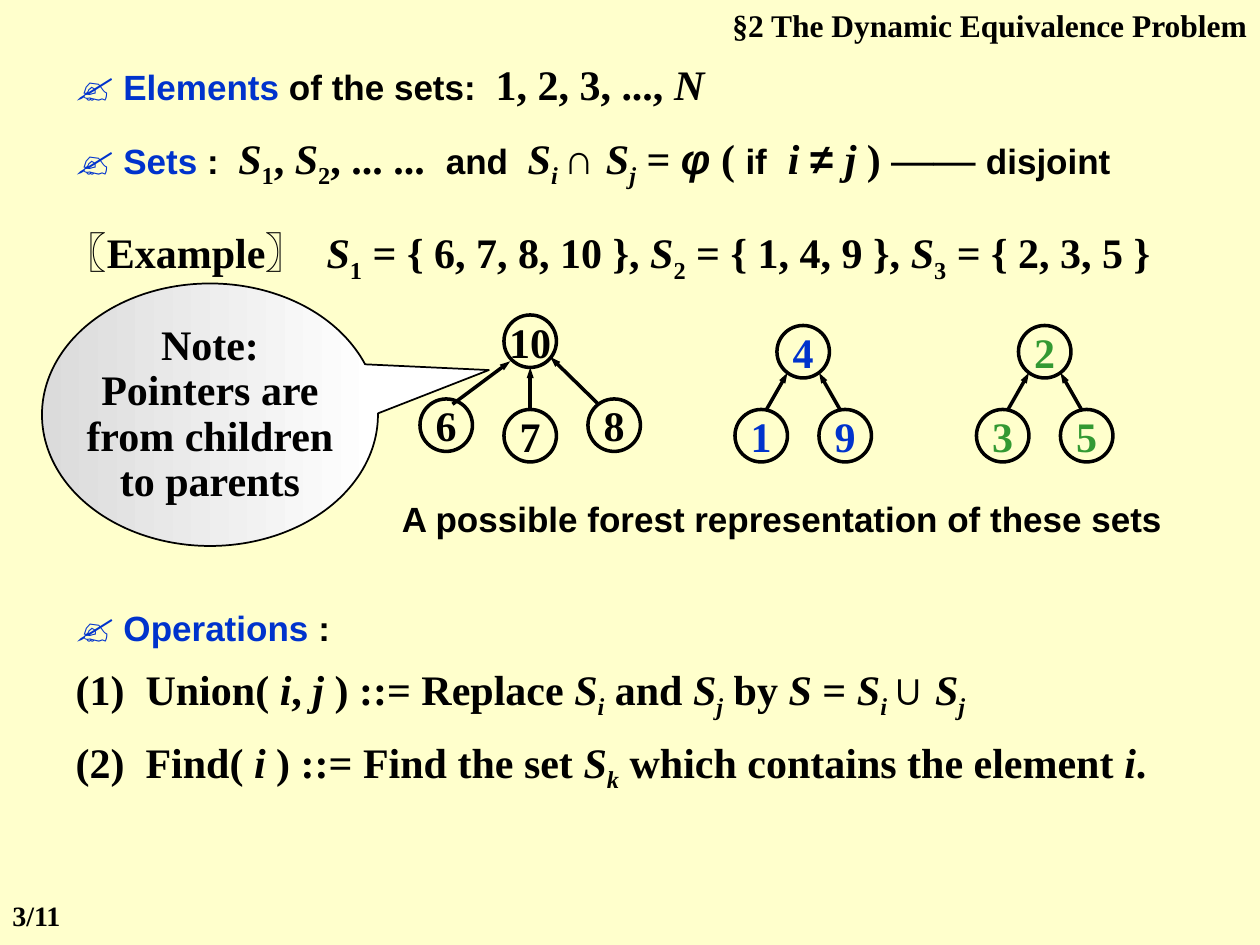
from lxml.etree import SubElement
from pptx import Presentation
from pptx.dml.color import RGBColor
from pptx.enum.shapes import MSO_CONNECTOR, MSO_SHAPE
from pptx.enum.text import MSO_ANCHOR, MSO_AUTO_SIZE, PP_ALIGN
from pptx.oxml.ns import qn
from pptx.util import Inches, Pt

COLORS = {"page": "FFFFCC", "ink": "000000", "blue": "0033CC", "green": "339933",
          "light": "FFFFFF", "shade": "DBDBDB"}
COLUMNS, ROWS = 120, 90
WIDTH, HEIGHT = Inches(10), Inches(7.5)
SERIF, SANS = "Times New Roman", "Arial"
NODE = 5

STYLES = {
    "text": (SERIF, 24, "ink", False, False),
    "math": (SERIF, 24, "ink", True, False),
    "sub": (SERIF, 24, "ink", False, True),
    "mathsub": (SERIF, 24, "ink", True, True),
    "symbol": (SANS, 24, "ink", False, False),
    "phi": (SANS, 24, "ink", True, False),
    "word": (SANS, 20, "ink", False, False),
    "label": (SANS, 20, "blue", False, False),
    "mark": (SANS, 24, "blue", False, False),
    "header": (SERIF, 18, "ink", False, False),
    "page": (SERIF, 16, "ink", False, False),
    "blue": (SERIF, 24, "blue", False, False),
    "green": (SERIF, 24, "green", False, False),
}


def color(name):
    """Return the named colour."""
    return RGBColor.from_string(COLORS[name])


def across(columns):
    """Turn grid columns into a length."""
    return round(WIDTH * columns / COLUMNS)


def down(rows):
    """Turn grid rows into a length."""
    return round(HEIGHT * rows / ROWS)


def grid(left, top, width, height):
    """Turn a box of columns and rows into lengths."""
    return across(left), down(top), across(width), down(height)


def place(box, area):
    """Move a placeholder to a grid area."""
    box.left, box.top, box.width, box.height = grid(*area)


def heading(lead):
    """Return the marked blue start of a line."""
    return [("✍", "mark"), (f" {lead}", "label")]


def indexed(index, style="mathsub"):
    """Return the spans of a set S with an index."""
    return [("S", "math"), (index, style)]


def write(box, lines, align=PP_ALIGN.LEFT, spacing=1.0, after=(), wrap=True,
          anchor=MSO_ANCHOR.TOP):
    """Fill a box with lines of styled spans."""
    frame = box.text_frame
    frame.word_wrap = wrap
    frame.auto_size = MSO_AUTO_SIZE.NONE
    frame.vertical_anchor = anchor
    for number, line in enumerate(lines):
        para = frame.add_paragraph() if number else frame.paragraphs[0]
        if box.is_placeholder:
            properties = para._p.get_or_add_pPr()
            properties.set("marL", "0")
            properties.set("indent", "0")
            SubElement(properties, qn("a:buNone"))
        para.alignment = align
        para.line_spacing = spacing
        para.space_before = Pt(0)
        para.space_after = Pt(after[number] if after else 0)
        for text, style in line:
            span = para.add_run()
            span.text = text
            face, size, ink, italic, lowered = STYLES[style]
            span.font.name, span.font.size = face, Pt(size)
            span.font.bold, span.font.italic = True, italic
            span.font.color.rgb = color(ink)
            if lowered:
                span.font._element.set("baseline", "-25000")


def text_line(page, area, spans, **options):
    """Add one line of text in a grid area."""
    write(page.shapes.add_textbox(*grid(*area)), [spans], **options)


def outlined(shapes, kind, area, points):
    """Add a shape with a black outline and no shadow."""
    shape = shapes.add_shape(kind, *grid(*area))
    shape.shadow.inherit = False
    shape.fill.background()
    shape.line.color.rgb = color("ink")
    shape.line.width = Pt(points)
    return shape


def pointer(shapes, start, end):
    """Add an arrow from a child to its parent."""
    arrow = shapes.add_connector(MSO_CONNECTOR.STRAIGHT, across(start[0]), down(start[1]),
                                 across(end[0]), down(end[1]))
    arrow.line.color.rgb = color("ink")
    arrow.line.width = Pt(2)
    SubElement(arrow.line._get_or_add_ln(), qn("a:tailEnd"), type="triangle", w="sm", len="med")
    SubElement(arrow._element.spPr, qn("a:effectLst"))


def tree(page, left, top, nodes, pointers, style):
    """Draw one set as a tree from its top left corner."""
    shapes = page.shapes.add_group_shape().shapes
    for name, column, row in nodes:
        node = outlined(shapes, MSO_SHAPE.OVAL, (left + column, top + row, NODE, NODE), 2)
        write(node, [[(name, style)]], PP_ALIGN.CENTER, wrap=False, anchor=MSO_ANCHOR.MIDDLE)
    for points in pointers:
        start, end = ((left + column, top + row) for column, row in points)
        pointer(shapes, start, end)


def forest(page):
    """Draw the three trees and their caption."""
    tree(page, 40, 30, [("10", 8, 0), ("6", 0, 8), ("8", 16, 8), ("7", 8, 9)],
         [((3.1, 8.5), (8.6, 4.4)), ((17, 8.5), (12.4, 4)), ((10.5, 9), (10.5, 5))], "text")
    for left, names, style in ((70, "419", "blue"), (93, "235", "green")):
        spots = ((4, 0), (0, 8), (8, 8))
        nodes = [(name, *spot) for name, spot in zip(names, spots)]
        tree(page, left, 31, nodes, [((3, 8), (5, 4.5)), ((10, 8), (8, 4.5))], style)
    text_line(page, (33, 47.2, 83, 4.8),
              [("A possible forest representation of these sets", "word")],
              align=PP_ALIGN.CENTER, spacing=0.9)


def note(page, area):
    """Draw the shaded callout that explains the pointers."""
    callout = outlined(page.shapes, MSO_SHAPE.OVAL_CALLOUT, area, 1)
    callout.adjustments[0], callout.adjustments[1] = 0.83, -0.17
    callout.fill.gradient()
    callout.fill.gradient_angle = 0
    for stop, name in zip(callout.fill.gradient_stops, ("shade", "light")):
        stop.color.rgb = color(name)
    lines = ("Note:", "Pointers are", "from children", "to parents")
    write(callout, [[(line, "text")] for line in lines], PP_ALIGN.CENTER, 0.9,
          wrap=False, anchor=MSO_ANCHOR.MIDDLE)


def definitions(page):
    """Write the elements, the sets and the example."""
    text_line(page, (6, 5, 76, 6), heading("Elements") + [
        (" of the sets:  ", "word"), ("1, 2, 3, ..., ", "text"), ("N", "math")])
    text_line(page, (6, 12, 102, 6.7), heading("Sets ") + [
        (":  ", "word"), *indexed("1", "sub"), (", ", "text"), *indexed("2", "sub"),
        (", ... ...  ", "text"), ("and  ", "word"), *indexed("i "), ("∩ ", "symbol"),
        *indexed("j"), (" = ", "text"), ("φ", "phi"), (" ( ", "text"), ("if", "word"),
        ("  ", "text"), ("i ", "math"), ("≠ ", "symbol"), ("j", "math"),
        (" ) —— ", "text"), ("disjoint", "word")])
    text_line(page, (5, 21, 109, 6.7), [
        ("〖Example〗  ", "text"), *indexed("1", "sub"), (" = { 6, 7, 8, 10 }, ", "text"),
        *indexed("2", "sub"), (" = { 1, 4, 9 }, ", "text"),
        *indexed("3", "sub"), (" = { 2, 3, 5 }", "text")])


def operations(body, area):
    """Write the two operations in the body placeholder."""
    place(body, area)
    union = [("(1)  Union( ", "text"), ("i", "math"), (", ", "text"), ("j ", "math"),
             (") ::= Replace ", "text"), *indexed("i"), (" and ", "text"), *indexed("j"),
             (" by ", "text"), ("S", "math"), (" = ", "text"), *indexed("i "),
             ("∪ ", "symbol"), *indexed("j")]
    find = [("(2)  Find( ", "text"), ("i", "math"), (" ) ::= Find the set ", "text"),
            *indexed("k"), (" which contains the element ", "text"), ("i", "math"), (".", "text")]
    write(body, [heading("Operations ") + [(":", "word")], union, find], after=(7.5, 9, 9))


def main():
    """Build the slide and save it."""
    deck = Presentation()
    deck.slide_width, deck.slide_height = WIDTH, HEIGHT
    page = deck.slides.add_slide(deck.slide_layouts[1])
    page.background.fill.solid()
    page.background.fill.fore_color.rgb = color("page")
    title, body = page.placeholders
    place(title, (61, 0, 59, 4.8))
    write(title, [[("§2 The Dynamic Equivalence Problem", "header")]], PP_ALIGN.RIGHT)
    definitions(page)
    forest(page)
    note(page, (4, 27, 32, 25))
    operations(body, (6, 56.5, 105, 19.7))
    text_line(page, (0, 85, 11, 4.4), [("3/11", "page")])
    deck.save("out.pptx")


if __name__ == "__main__":
    main()
